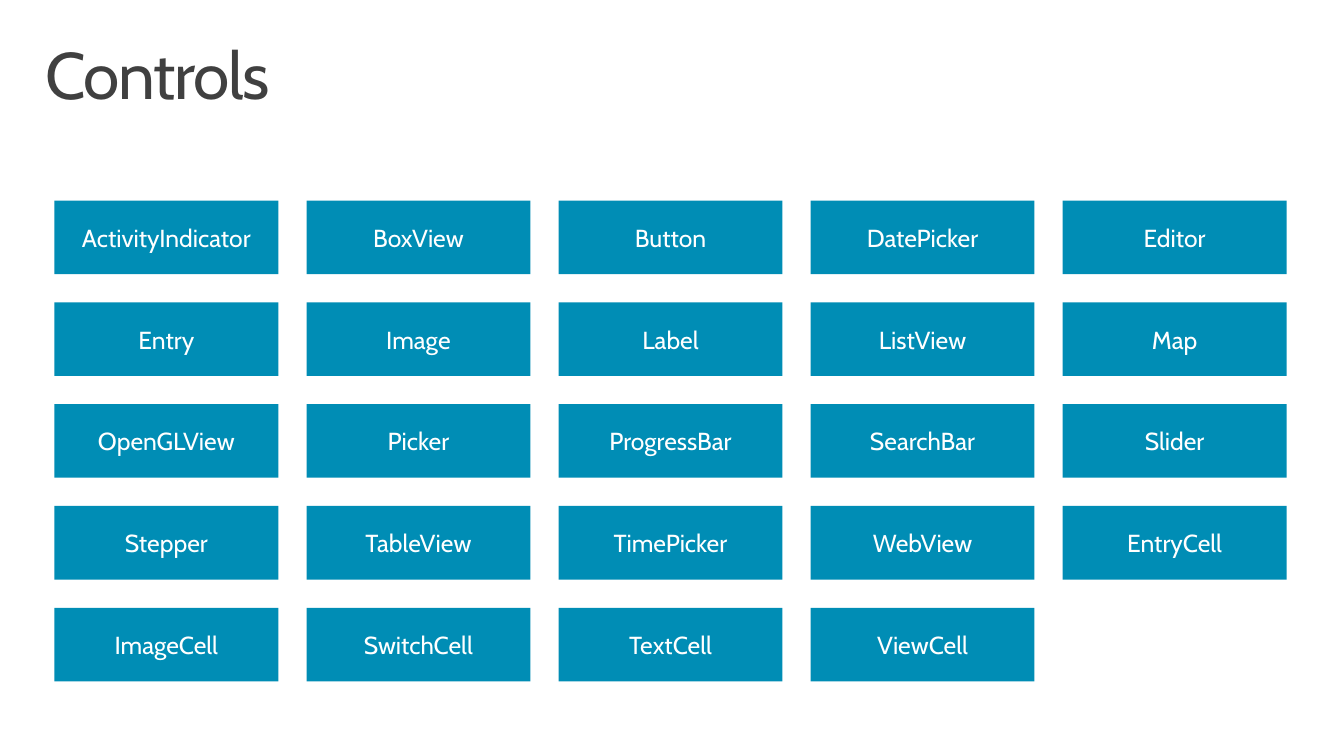
import pptx
import pptx.util
import pptx.dml.color
import pptx.enum.shapes
import pptx.enum.text

TITLE = "Controls"
CONTROLS = [
    ["ActivityIndicator", "BoxView", "Button", "DatePicker", "Editor"],
    ["Entry", "Image", "Label", "ListView", "Map"],
    ["OpenGLView", "Picker", "ProgressBar", "SearchBar", "Slider"],
    ["Stepper", "TableView", "TimePicker", "WebView", "EntryCell"],
    ["ImageCell", "SwitchCell", "TextCell", "ViewCell"],
]
FONT = "Cabin"
BLUE, WHITE, GRAY = "008DB5", "FFFFFF", "404040"
GRID_LEFT, GRID_TOP = 0.54, 1.99
TILE_W, TILE_H = 2.22, 0.73
GAP_X, GAP_Y = 0.28, 0.28

Inches = pptx.util.Inches
Pt = pptx.util.Pt


def rgb(color):
    return pptx.dml.color.RGBColor.from_string(color)


def add_run(p, text, size, color):
    r = p.add_run()
    r.text = text
    r.font.name = FONT
    r.font.size = Pt(size)
    r.font.color.rgb = rgb(color)
    return r


def add_title(s):
    sp = s.shapes.add_textbox(Inches(0.29), Inches(0.32), Inches(12.75), Inches(0.98))
    tf = sp.text_frame
    tf.word_wrap = True
    tf.margin_left = tf.margin_right = Inches(0.16)
    tf.margin_top = tf.margin_bottom = Inches(0.1)
    p = tf.paragraphs[0]
    p.line_spacing = 0.9
    r = add_run(p, TITLE, 47, GRAY)
    r.font._element.set("spc", "-100")


def add_tile(s, row, col, name):
    left = GRID_LEFT + col * (TILE_W + GAP_X)
    top = GRID_TOP + row * (TILE_H + GAP_Y)
    sp = s.shapes.add_shape(
        pptx.enum.shapes.MSO_SHAPE.ROUNDED_RECTANGLE,
        Inches(left), Inches(top), Inches(TILE_W), Inches(TILE_H))
    sp.adjustments[0] = 0
    sp.shadow.inherit = False
    sp.fill.solid()
    sp.fill.fore_color.rgb = rgb(BLUE)
    sp.line.fill.background()
    tf = sp.text_frame
    tf.word_wrap = True
    tf.vertical_anchor = pptx.enum.text.MSO_ANCHOR.MIDDLE
    p = tf.paragraphs[0]
    p.alignment = pptx.enum.text.PP_ALIGN.CENTER
    add_run(p, name, 17.6, WHITE)


def main():
    prs = pptx.Presentation()
    prs.slide_width = Inches(13.33)
    prs.slide_height = Inches(7.5)
    s = prs.slides.add_slide(prs.slide_layouts[6])
    for row, names in enumerate(CONTROLS):
        for col, name in enumerate(names):
            add_tile(s, row, col, name)
    add_title(s)
    prs.save("out.pptx")


if __name__ == "__main__":
    main()
